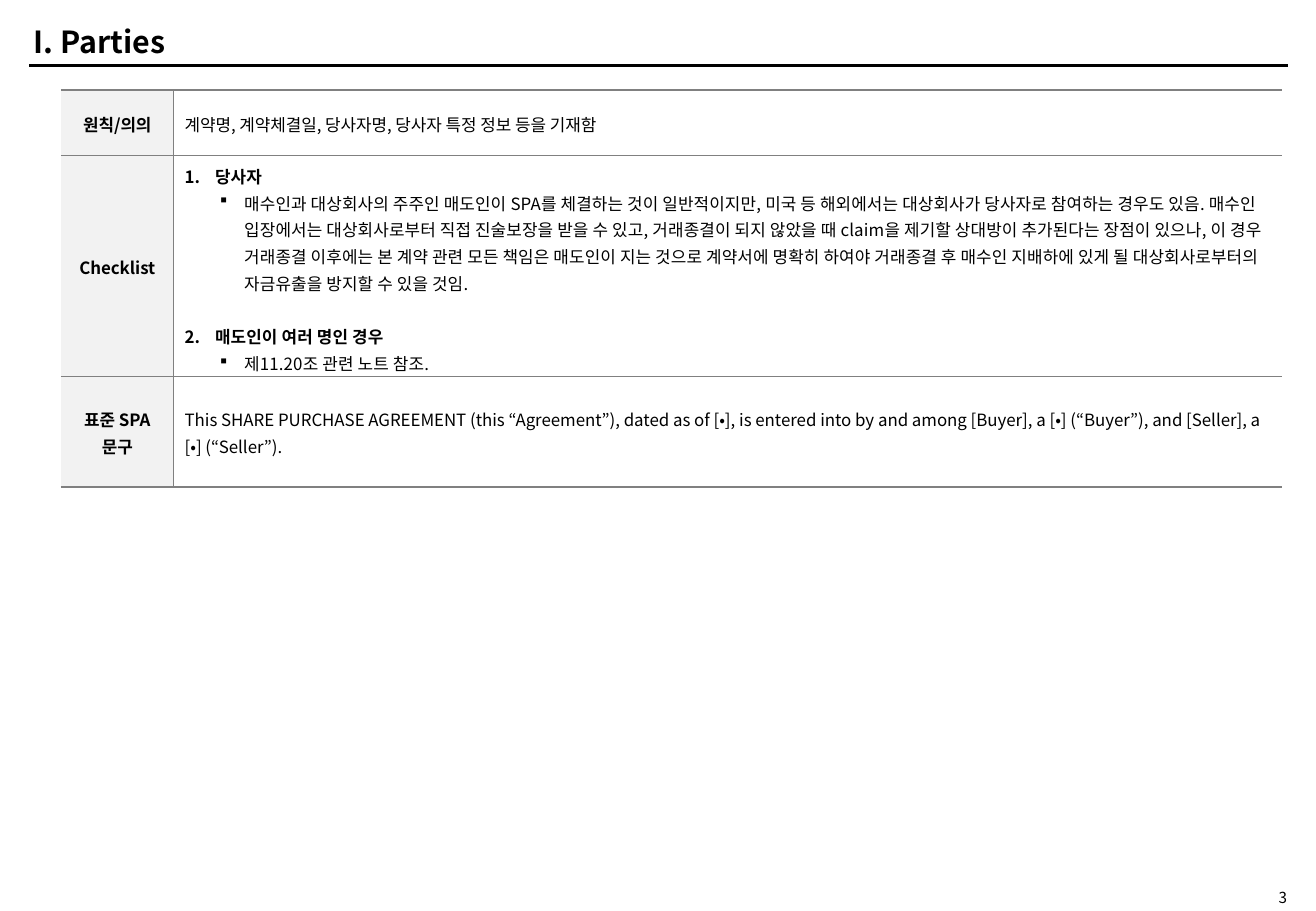
from lxml.etree import SubElement
from pptx import Presentation
from pptx.dml.color import RGBColor
from pptx.enum.shapes import MSO_CONNECTOR as CONNECTOR
from pptx.enum.text import MSO_ANCHOR as ANCHOR, PP_ALIGN as ALIGN
from pptx.oxml.ns import qn
from pptx.util import Pt

PX = 9144
FONT = "Noto Sans CJK KR"
BLACK, GRAY, LIGHT = "000000", "808080", "F2F2F2"

HEADING, BULLET, PLAIN = "heading", "bullet", "plain"
ROWS = [
    (54, "원칙/의의", [(PLAIN, "계약명, 계약체결일, 당사자명, 당사자 특정 정보 등을 기재함")]),
    (182, "Checklist", [
        (HEADING, "당사자"),
        (BULLET, "매수인과 대상회사의 주주인 매도인이 SPA를 체결하는 것이 일반적이지만, "
                 "미국 등 해외에서는 대상회사가 당사자로 참여하는 경우도 있음. "
                 "매수인 입장에서는 대상회사로부터 직접 진술보장을 받을 수 있고, "
                 "거래종결이 되지 않았을 때 claim을 제기할 상대방이 추가된다는 장점이 있으나, "
                 "이 경우 거래종결 이후에는 본 계약 관련 모든 책임은 매도인이 지는 것으로 "
                 "계약서에 명확히 하여야 거래종결 후 매수인 지배하에 있게 될 "
                 "대상회사로부터의 자금유출을 방지할 수 있을 것임."),
        (HEADING, "매도인이 여러 명인 경우"),
        (BULLET, "제11.20조 관련 노트 참조."),
    ]),
    (91, "표준 SPA\v문구", [
        (PLAIN, "This SHARE PURCHASE AGREEMENT (this “Agreement”), dated as of [•], "
                "is entered into by and among [Buyer], a [•] (“Buyer”), "
                "and [Seller], a [•] (“Seller”)."),
    ]),
]


def px(length):
    """Turn px into EMU."""
    return length * PX


def color(value):
    """Turn a hex string into a colour."""
    return RGBColor.from_string(value)


def style(paragraph, size, bold=False, align=ALIGN.LEFT, spacing=0):
    """Set the font, alignment and letter spacing of a paragraph."""
    paragraph.alignment = align
    font = paragraph.font
    font.size, font.bold, font.name = Pt(size), bold, FONT
    font.color.rgb = color(BLACK)
    defaults = paragraph._p.pPr.find(qn("a:defRPr"))
    SubElement(defaults, qn("a:ea")).set("typeface", FONT)
    if spacing:
        defaults.set("spc", str(spacing))


def add_label(slide, box, text, size, bold, align, margin_y):
    """Place one line of text in a box."""
    frame = slide.shapes.add_textbox(*map(px, box)).text_frame
    frame.word_wrap = True
    frame.vertical_anchor = ANCHOR.MIDDLE
    frame.margin_top = frame.margin_bottom = px(margin_y)
    frame.text = text
    style(frame.paragraphs[0], size, bold, align)


def add_title(slide, box, text):
    """Place the title and the rule below it."""
    left, top, width, height = box
    add_label(slide, (left - 6, top, 511, height), text, 18, True, ALIGN.LEFT, 5)
    y = px(top + height + 1)
    rule = slide.shapes.add_connector(CONNECTOR.STRAIGHT, px(left), y, px(left + width), y)
    rule.line.color.rgb = color(BLACK)
    rule.line.width = Pt(2)
    SubElement(rule._element.spPr, qn("a:effectLst"))


def set_borders(cell, sides):
    """Draw gray lines on the given sides and none on the others."""
    properties = cell._tc.get_or_add_tcPr()
    for side in "LRTB":
        line = SubElement(properties, qn(f"a:ln{side}"), w=str(Pt(1)))
        if side in sides:
            fill = SubElement(line, qn("a:solidFill"))
            SubElement(fill, qn("a:srgbClr"), val=GRAY)
        else:
            SubElement(line, qn("a:noFill"))


def set_margins(cell, left, right, y):
    """Set the inner margins of a cell and centre it vertically."""
    cell.margin_left, cell.margin_right = px(left), px(right)
    cell.margin_top = cell.margin_bottom = px(y)
    cell.vertical_anchor = ANCHOR.MIDDLE


def set_list(paragraph, kind):
    """Give a paragraph its number or bullet."""
    properties = paragraph._p.get_or_add_pPr()
    if kind == HEADING:
        properties.set("marL", str(px(25)))
        properties.set("indent", str(px(-25)))
        SubElement(properties, qn("a:buFont"), typeface="+mj-lt")
        SubElement(properties, qn("a:buAutoNum"), type="arabicPeriod")
    elif kind == BULLET:
        paragraph.level = 1
        properties.set("marL", str(px(49)))
        properties.set("indent", str(px(-20)))
        SubElement(properties, qn("a:buFont"), typeface="Wingdings", charset="2")
        SubElement(properties, qn("a:buChar"), char="§")


def fill_heading(cell, text):
    """Fill a cell of the left column."""
    set_borders(cell, "RTB")
    set_margins(cell, 7, 7, 0)
    cell.fill.solid()
    cell.fill.fore_color.rgb = color(LIGHT)
    cell.text = text
    paragraph = cell.text_frame.paragraphs[0]
    paragraph.line_spacing = 1.1
    style(paragraph, 10, True, ALIGN.CENTER)


def fill_content(cell, items):
    """Fill a cell of the right column."""
    set_borders(cell, "LTB")
    set_margins(cell, 9, 11, 5)
    cell.fill.background()
    frame = cell.text_frame
    for index, (kind, text) in enumerate(items):
        paragraph = frame.add_paragraph() if index else frame.paragraphs[0]
        paragraph.text = text
        paragraph.line_spacing = 1.1
        if index and kind == HEADING:
            paragraph.space_before = Pt(16)
        set_list(paragraph, kind)
        style(paragraph, 10, kind == HEADING, spacing=0 if kind == PLAIN else 12)


def add_clause_table(slide, box, rows):
    """Place the table of headings and notes."""
    table = slide.shapes.add_table(len(rows), 2, *map(px, box)).table
    table.first_row = table.horz_banding = False
    heading_width = 93
    table.columns[0].width = px(heading_width)
    table.columns[1].width = px(box[2] - heading_width)
    for index, (height, heading, items) in enumerate(rows):
        table.rows[index].height = px(height)
        fill_heading(table.cell(index, 0), heading)
        fill_content(table.cell(index, 1), items)


def main():
    """Build and save the slide."""
    presentation = Presentation()
    presentation.slide_width, presentation.slide_height = px(1083), px(750)
    slide = presentation.slides.add_slide(presentation.slide_layouts[6])
    add_title(slide, (24, 15, 1036, 38), "I. Parties")
    add_clause_table(slide, (50, 74, 1005, 327), ROWS)
    add_label(slide, (975, 731, 94, 15), "3", 9, False, ALIGN.RIGHT, 0)
    presentation.save("out.pptx")


if __name__ == "__main__":
    main()
